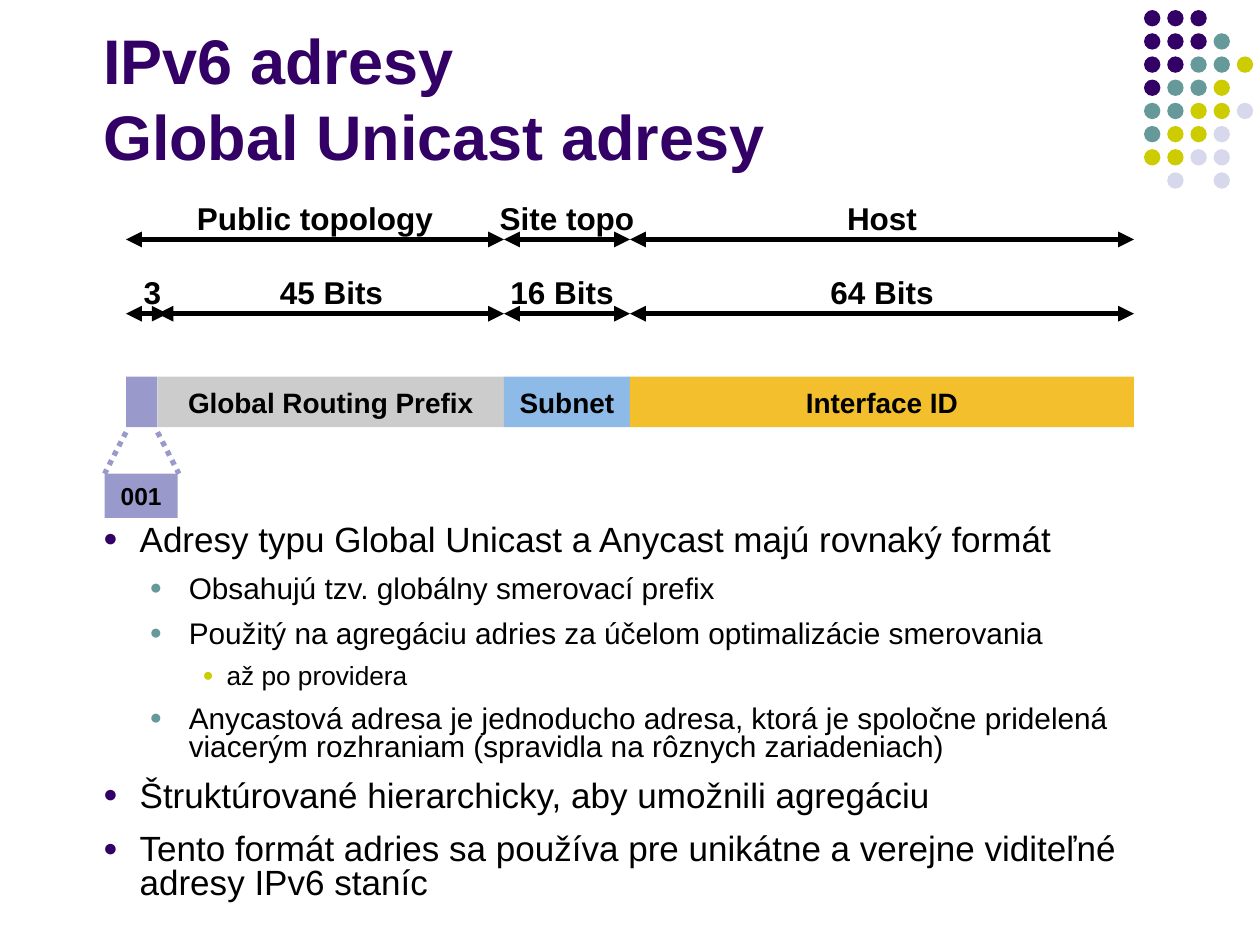
import pptx
import pptx.dml.color
import pptx.enum.dml
import pptx.enum.shapes
import pptx.enum.text
import pptx.oxml.ns
import pptx.util
from lxml import etree
from pptx.util import Inches

RGBColor = pptx.dml.color.RGBColor
PURPLE = RGBColor(0x33, 0x00, 0x66)
TEAL = RGBColor(0x66, 0x99, 0x99)
OLIVE = RGBColor(0xCC, 0xCC, 0x00)
PALE = RGBColor(0xD8, 0xD8, 0xEC)
LILAC = RGBColor(0x99, 0x99, 0xCC)
GRAY = RGBColor(0xCC, 0xCC, 0xCC)
BLUE = RGBColor(0x8D, 0xBA, 0xE7)
GOLD = RGBColor(0xF3, 0xBF, 0x2D)
BLACK = RGBColor(0x00, 0x00, 0x00)

SHAPES = pptx.enum.shapes.MSO_SHAPE
ALIGN = pptx.enum.text.PP_ALIGN
ANCHOR = pptx.enum.text.MSO_ANCHOR

DOT_ROWS = ["PPP", "PPPT", "PPTTO", "PTTO", "TTOOL", "TOOL", "OOLL", " L L"]
DOT_COLORS = {"P": PURPLE, "T": TEAL, "O": OLIVE, "L": PALE}

# label, start, end, label centre, label width
TOPOLOGY_SPANS = [
    ("Public topology", 1, 4, 2.5, 2.07),
    ("Site topo", 4, 5, 4.5, 1.27),
    ("Host", 5, 9, 7, 0.75),
]
BIT_SPANS = [
    ("3", 1, 1.33, 1.21, 0.42),
    ("45 Bits", 1.25, 4, 2.63, 1.42),
    ("16 Bits", 4, 5, 4.46, 1.42),
    ("64 Bits", 5, 9, 7, 1.42),
]
# label, start, end, fill
FIELDS = [
    ("", 1, 1.25, LILAC),
    ("Global Routing Prefix", 1.25, 4, GRAY),
    ("Subnet", 4, 5, BLUE),
    ("Interface ID", 5, 9, GOLD),
]
# size, left margin, indent, space before, space after, bullet colour
LEVELS = [
    (20, 0.29, -0.29, 6.2, 5, PURPLE),
    (17, 0.68, -0.31, 5.2, 4.2, TEAL),
    (15, 0.98, -0.19, 4.6, 3.7, OLIVE),
]
BODY = [
    (0, "Adresy typu Global Unicast a Anycast majú rovnaký formát"),
    (1, "Obsahujú tzv. globálny smerovací prefix"),
    (1, "Použitý na agregáciu adries za účelom optimalizácie smerovania"),
    (2, "až po providera"),
    (1, "Anycastová adresa je jednoducho adresa, ktorá je spoločne pridelená "
        "viacerým rozhraniam (spravidla na rôznych zariadeniach)"),
    (0, "Štruktúrované hierarchicky, aby umožnili agregáciu"),
    (0, "Tento formát adries sa používa pre unikátne a verejne viditeľné "
        "adresy IPv6 staníc"),
]


def add_element(parent, tag, **attributes):
    return etree.SubElement(parent, pptx.oxml.ns.qn(tag), attributes)


def add_run(paragraph, text, size, color=BLACK, bold=False):
    run = paragraph.add_run()
    run.text = text
    run.font.name = "Arial"
    run.font.size = pptx.util.Pt(size)
    run.font.bold = bold
    run.font.color.rgb = color


def add_filled_shape(slide, preset, left, top, width, height, fill):
    shape = slide.shapes.add_shape(
        preset, Inches(left), Inches(top), Inches(width), Inches(height))
    shape.shadow.inherit = False
    shape.fill.solid()
    shape.fill.fore_color.rgb = fill
    shape.line.fill.background()
    return shape


def add_text_frame(slide, left, top, width, height):
    box = slide.shapes.add_textbox(
        Inches(left), Inches(top), Inches(width), Inches(height))
    box.text_frame.word_wrap = True
    return box.text_frame


def add_field(slide, label, left, top, width, height, fill, size=16):
    shape = add_filled_shape(
        slide, SHAPES.RECTANGLE, left, top, width, height, fill)
    if label:
        frame = shape.text_frame
        frame.word_wrap = False
        frame.vertical_anchor = ANCHOR.MIDDLE
        frame.margin_left = frame.margin_right = Inches(0.08)
        frame.margin_top = frame.margin_bottom = Inches(0.04)
        paragraph = frame.paragraphs[0]
        paragraph.alignment = ALIGN.CENTER
        add_run(paragraph, label, size, bold=True)


def add_line(slide, start, end, color):
    points = [Inches(value) for value in (*start, *end)]
    connector = slide.shapes.add_connector(
        pptx.enum.shapes.MSO_CONNECTOR.STRAIGHT, *points)
    connector.line.color.rgb = color
    connector.line.width = pptx.util.Pt(3)
    add_element(connector._element.spPr, "a:effectLst")
    return connector


def add_spans(slide, spans, label_top, arrow_top):
    """Draw a row of double-headed arrows with their labels."""
    for label, start, end, centre, width in spans:
        arrow = add_line(slide, (start, arrow_top), (end, arrow_top), BLACK)
        outline = arrow.line._get_or_add_ln()
        add_element(outline, "a:headEnd", type="triangle")
        add_element(outline, "a:tailEnd", type="triangle")
        frame = add_text_frame(
            slide, centre - width / 2, label_top, width, 0.4)
        frame.margin_left = frame.margin_right = 0
        paragraph = frame.paragraphs[0]
        paragraph.alignment = ALIGN.CENTER
        add_run(paragraph, label, 18, bold=True)


def add_dots(slide):
    for row, pattern in enumerate(DOT_ROWS):
        for column, key in enumerate(pattern):
            if key in DOT_COLORS:
                add_filled_shape(
                    slide, SHAPES.OVAL, 9.08 + column * 0.184,
                    0.08 + row * 0.184, 0.13, 0.13, DOT_COLORS[key])


def add_title(slide):
    frame = add_text_frame(slide, 0.72, 0.5, 8.91, 0.92)
    frame.vertical_anchor = ANCHOR.BOTTOM
    paragraph = frame.paragraphs[0]
    add_run(paragraph, "IPv6 adresy", 36, PURPLE, True)
    paragraph.add_line_break()
    add_run(paragraph, "Global Unicast adresy", 36, PURPLE, True)


def add_body(slide):
    frame = add_text_frame(slide, 0.72, 4.12, 8.56, 3.21)
    for index, (level, text) in enumerate(BODY):
        size, margin, indent, before, after, color = LEVELS[level]
        paragraph = frame.add_paragraph() if index else frame.paragraphs[0]
        paragraph.level = level
        paragraph.line_spacing = 0.8
        paragraph.space_before = pptx.util.Pt(before if index else 0)
        paragraph.space_after = pptx.util.Pt(after)
        properties = paragraph._p.get_or_add_pPr()
        properties.set("marL", str(Inches(margin)))
        properties.set("indent", str(Inches(indent)))
        bullet_color = add_element(properties, "a:buClr")
        add_element(bullet_color, "a:srgbClr", val=str(color))
        add_element(properties, "a:buSzPct", val="70000")
        add_element(properties, "a:buFont", typeface="Arial")
        add_element(properties, "a:buChar", char="●")
        add_run(paragraph, text, size)


def add_prefix_callout(slide):
    for top_x, bottom_x in ((1, 0.83), (1.25, 1.42)):
        line = add_line(slide, (top_x, 3.43), (bottom_x, 3.76), LILAC)
        line.line.dash_style = pptx.enum.dml.MSO_LINE.ROUND_DOT
    add_field(slide, "001", 0.83, 3.76, 0.58, 0.35, LILAC, 14)


def main():
    presentation = pptx.Presentation()
    presentation.slide_width = Inches(10)
    presentation.slide_height = Inches(7.5)
    slide = presentation.slides.add_slide(presentation.slide_layouts[6])
    add_dots(slide)
    add_title(slide)
    add_body(slide)
    add_prefix_callout(slide)
    add_spans(slide, BIT_SPANS, 2.12, 2.49)
    add_spans(slide, TOPOLOGY_SPANS, 1.53, 1.9)
    for label, start, end, fill in FIELDS:
        add_field(slide, label, start, 2.99, end - start, 0.4, fill)
    presentation.save("out.pptx")


if __name__ == "__main__":
    main()
